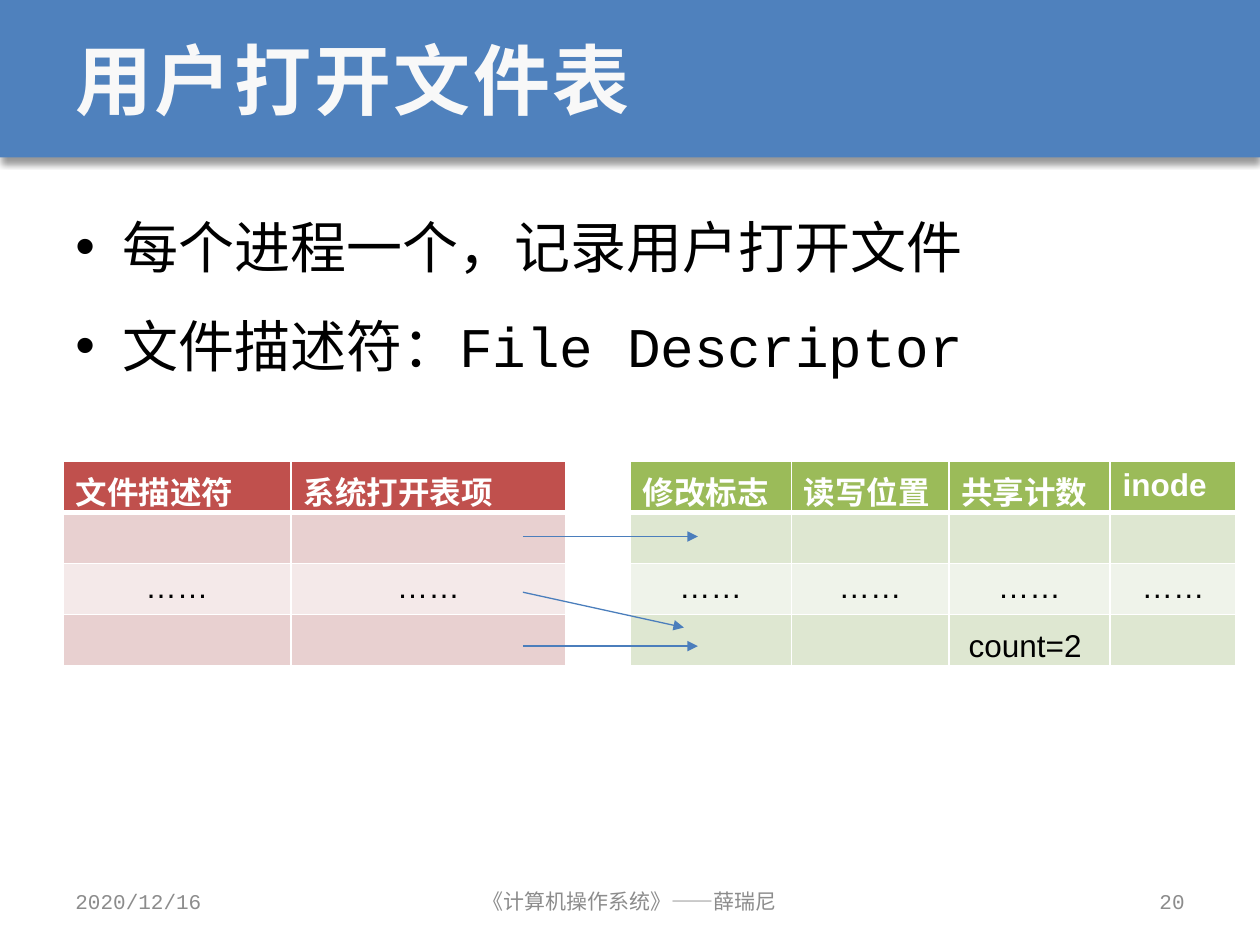
from lxml import etree
from pptx import Presentation
from pptx.dml.color import RGBColor
from pptx.enum import shapes, text
from pptx.oxml import ns
from pptx.util import Pt

LEFT, MID, RIGHT = text.PP_ALIGN.LEFT, text.PP_ALIGN.CENTER, text.PP_ALIGN.RIGHT
DOTS = "……"


def color(code):
    return RGBColor.from_string(code)


def node(root, tag, **attrs):
    """Append a drawing element to root and return it."""
    item = etree.SubElement(root, ns.qn("a:" + tag))
    for key, value in attrs.items():
        item.set(key, str(value))
    return item


class Deck:
    mono, sans = "Courier New", "Arial"
    blue, line, gray = "4F81BD", "4B7EBC", "8C8C8C"
    white, black, pale = "FFFFFF", "000000", "F8F8F8"

    def __init__(self, slide):
        self.slide = slide

    def run(self, para, words, size, font, ink, bold=False):
        run = para.add_run()
        run.text = words
        run.font.size, run.font.name, run.font.bold = Pt(size), font, bold
        run.font.color.rgb = color(ink)
        return run

    def band(self, x, y, w, h):
        """Draw the title bar with a soft shadow below it."""
        bar = self.slide.shapes.add_shape(
            shapes.MSO_SHAPE.RECTANGLE, Pt(x), Pt(y), Pt(w), Pt(h))
        bar.shadow.inherit = False
        bar.fill.solid()
        bar.fill.fore_color.rgb = color(self.blue)
        bar.line.fill.background()
        glow = node(bar._element.spPr.find(ns.qn("a:effectLst")), "outerShdw",
                    blurRad=Pt(4), dist=Pt(3), dir=90 * 60000, algn="t", rotWithShape=0)
        node(node(glow, "srgbClr", val=self.black), "alpha", val=40000)

    def frame(self, x, y, w, h, wrap=True, anchor=text.MSO_ANCHOR.MIDDLE):
        frame = self.slide.shapes.add_textbox(Pt(x), Pt(y), Pt(w), Pt(h)).text_frame
        frame.word_wrap, frame.vertical_anchor = wrap, anchor
        return frame

    def title(self, words, *place):
        run = self.run(self.frame(*place).paragraphs[0], words, 44, self.mono, self.pale, True)
        run._r.get_or_add_rPr().set("spc", "150")

    def list(self, items, *place):
        frame = self.frame(*place, anchor=text.MSO_ANCHOR.TOP)
        for i, words in enumerate(items):
            para = frame.add_paragraph() if i else frame.paragraphs[0]
            para.line_spacing = 1.3
            para.space_before = Pt(6.4 if i else 0)
            props = para._p.get_or_add_pPr()
            props.set("marL", str(Pt(27)))
            props.set("indent", str(Pt(-27)))
            node(props, "buFont", typeface=self.sans)
            node(props, "buChar", char="•")
            self.run(para, words, 32, self.mono, self.black)

    def foot(self, words, x, w, align):
        para = self.frame(x, 500.5, w, 28.8).paragraphs[0]
        para.alignment = align
        self.run(para, words, 12, self.mono, self.gray)

    def edge(self, cell, side, width):
        line = node(cell._tc.get_or_add_tcPr(), "ln" + side, w=Pt(width))
        node(node(line, "solidFill"), "srgbClr", val=self.white)

    def table(self, x, y, widths, high, heads, fills):
        """Draw a header, an empty row, a row of dots and an empty row."""
        head, dark, light = fills
        blank = [""] * len(heads)
        rows = [(heads, head), (blank, dark), ([DOTS] * len(heads), light), (blank, dark)]
        grid = self.slide.shapes.add_table(
            len(rows), len(heads), Pt(x), Pt(y), Pt(sum(widths)), Pt(high * len(rows))).table
        for col, width in zip(grid.columns, widths):
            col.width = Pt(width)
        for r, (words, fill) in enumerate(rows):
            grid.rows[r].height = Pt(high)
            for c, word in enumerate(words):
                cell = grid.cell(r, c)
                for side in "LRTB":
                    thick = (r, side) in ((0, "B"), (1, "T"))
                    self.edge(cell, side, 3 if thick else 1)
                cell.fill.solid()
                cell.fill.fore_color.rgb = color(fill)
                para = cell.text_frame.paragraphs[0]
                para.font.size = Pt(18)
                if word:
                    para.alignment = MID if r else LEFT
                    self.run(para, word, 18, self.sans,
                             self.black if r else self.white, r == 0)

    def arrow(self, *ends):
        wire = self.slide.shapes.add_connector(
            shapes.MSO_CONNECTOR.STRAIGHT, *(Pt(end) for end in ends))
        wire.line.color.rgb = color(self.line)
        wire.line.width = Pt(0.75)
        node(wire.line._get_or_add_ln(), "tailEnd", type="triangle")
        node(wire._element.spPr, "effectLst")

    def label(self, words, *place):
        frame = self.frame(*place, wrap=False, anchor=text.MSO_ANCHOR.TOP)
        frame.auto_size = text.MSO_AUTO_SIZE.SHAPE_TO_FIT_TEXT
        self.run(frame.paragraphs[0], words, 18, self.sans, self.black)


def main():
    show = Presentation()
    show.slide_width, show.slide_height = Pt(720), Pt(540)
    deck = Deck(show.slides.add_slide(show.slide_layouts[6]))

    deck.band(0, 0, 720, 90)
    deck.title("用户打开文件表", 36, 0, 648, 90)
    deck.list(["每个进程一个，记录用户打开文件", "文件描述符：File Descriptor"],
              36, 106.5, 648, 384)

    deck.foot("2020/12/16", 36, 168, LEFT)
    deck.foot("《计算机操作系统》——薛瑞尼", 246, 228, MID)
    deck.foot("20", 516, 168, RIGHT)

    top, high = 263.5, 29.2
    deck.table(36, top, [130.3, 157], high, ["文件描述符", "系统打开表项"],
               ["C0504D", "E8D0D0", "F4E9E9"])
    deck.table(360, top, [92.2, 90, 92.2, 72], high,
               ["修改标志", "读写位置", "共享计数", "inode"],
               ["9BBB59", "DEE7D1", "EFF3EA"])

    for y, x2, y2 in [(369.2, 398.8, 369.2), (306.6, 398.8, 306.6), (338.4, 390.8, 358.6)]:
        deck.arrow(298.8, y, x2, y2)
    deck.label("count=2", 546.5, 354.4, 80, 28.8)
    show.save("out.pptx")


if __name__ == "__main__":
    main()
